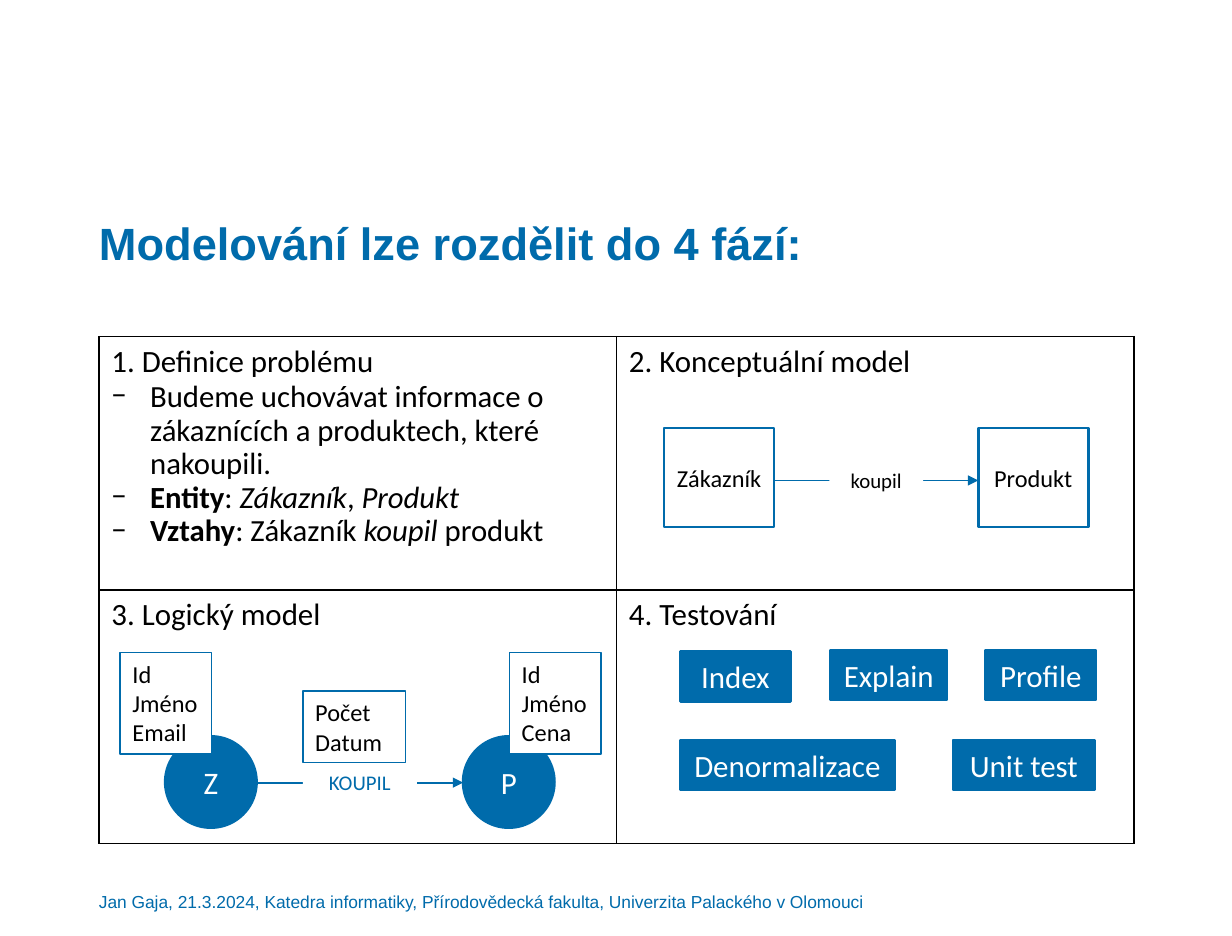
"""Builds a slide that shows the four phases of data modelling in a two by two table."""
from lxml import etree
from pptx import Presentation
from pptx import util as u
from pptx.dml.color import RGBColor
from pptx.enum import shapes, text
from pptx.oxml import ns

hue = RGBColor.from_string
BLUE, BLACK, WHITE = "006BAB", "000000", "FFFFFF"
LEFT, TOP, COL, ROW = 0.79, 2.69, 8.27 / 2, 4.05 / 2
KIND = shapes.MSO_SHAPE
ALIGN = text.PP_ALIGN


def write(frame, lines, size, color, align=ALIGN.LEFT, font="Calibri"):
    for line in lines:
        last = frame.paragraphs[-1]
        para = frame.add_paragraph() if last.runs else last
        para.alignment = align
        for words, style in [(line, "")] if isinstance(line, str) else line:
            run = para.add_run()
            run.text = words
            run.font.name, run.font.size = font, u.Pt(size)
            run.font.bold, run.font.italic = style == "b", style == "i"
            run.font.color.rgb = hue(color)


def box(kind, cell, area, lines, size, color, fill, edge=0, align=ALIGN.CENTER):
    col, row = cell
    x, y, w, h = area
    shape = slide.shapes.add_shape(kind, u.Inches(LEFT + col * COL + x),
                                   u.Inches(TOP + row * ROW + y), u.Inches(w), u.Inches(h))
    shape.shadow.inherit = False
    shape.fill.solid()
    shape.fill.fore_color.rgb = hue(fill)
    if edge:
        shape.line.color.rgb = hue(BLUE)
        shape.line.width = u.Pt(edge)
    else:
        shape.line.fill.background()
    frame = shape.text_frame
    frame.word_wrap = align == ALIGN.LEFT
    if frame.word_wrap:
        frame.margin_right = 0
    frame.vertical_anchor = text.MSO_ANCHOR.TOP if frame.word_wrap else text.MSO_ANCHOR.MIDDLE
    write(frame, lines, size, color, align)


deck = Presentation()
deck.slide_width, deck.slide_height = u.Cm(25), u.Cm(19)
slide = deck.slides.add_slide(deck.slide_layouts[5])

title = slide.shapes.title
title.left, title.top = u.Inches(LEFT), u.Inches(1.77)
title.width, title.height = u.Inches(2 * COL), u.Inches(0.82)
foot = slide.shapes.add_textbox(u.Inches(LEFT), u.Inches(7.05), u.Inches(7.79), u.Inches(0.24))
for item, anchor in (title, text.MSO_ANCHOR.TOP), (foot, text.MSO_ANCHOR.BOTTOM):
    frame = item.text_frame
    frame.margin_left = frame.margin_right = frame.margin_top = frame.margin_bottom = 0
    frame.word_wrap = True
    frame.auto_size = text.MSO_AUTO_SIZE.NONE
    frame.vertical_anchor = anchor
write(title.text_frame, [[("Modelování lze rozdělit do 4 fází:", "b")]], 26, BLUE, font="Arial")
title.text_frame.paragraphs[0].line_spacing = 0.9
write(foot.text_frame, ["Jan Gaja, 21.3.2024, Katedra informatiky, Přírodovědecká fakulta, "
                        "Univerzita Palackého v Olomouci"], 10, BLUE, font="Arial")

table = slide.shapes.add_table(2, 2, u.Inches(LEFT), u.Inches(TOP),
                               u.Inches(2 * COL), u.Inches(2 * ROW)).table
table.first_row = table.horz_banding = False
heads = ["1. Definice problému", "2. Konceptuální model", "3. Logický model", "4. Testování"]
for cell, head in zip(table.iter_cells(), heads):
    write(cell.text_frame, [head], 17.8, BLACK)
    props = cell._tc.get_or_add_tcPr()
    for side in "LRTB":
        line = etree.SubElement(props, ns.qn(f"a:ln{side}"), w=str(u.Pt(1)))
        solid = etree.SubElement(line, ns.qn("a:solidFill"))
        etree.SubElement(solid, ns.qn("a:srgbClr"), val=BLACK)
    cell.fill.background()

frame = table.cell(0, 0).text_frame
points = [
    [("Budeme uchovávat informace o zákaznících a produktech, které nakoupili.", "")],
    [("Entity", "b"), (": ", ""), ("Zákazník", "i"), (", ", ""), ("Produkt", "i")],
    [("Vztahy", "b"), (": Zákazník ", ""), ("koupil", "i"), (" produkt", "")],
]
write(frame, points, 17.7, BLACK)
for para in frame.paragraphs[1:]:
    para.line_spacing = 0.9
    props = para._p.get_or_add_pPr()
    props.set("marL", str(u.Inches(0.31)))
    props.set("indent", str(-u.Inches(0.31)))
    etree.SubElement(props, ns.qn("a:buFont"), typeface="Calibri")
    etree.SubElement(props, ns.qn("a:buChar"), char="−")

for x, name in (0.38, "Zákazník"), (2.89, "Produkt"):
    box(KIND.FLOWCHART_PROCESS, (1, 0), (x, 0.73, 0.88, 0.79), [name], 14, BLACK, WHITE, 1.5)
for x, name, size in (0.53, "Z", 18), (2.91, "P", 17.8):
    box(KIND.FLOWCHART_CONNECTOR, (0, 1), (x, 1.17, 0.73, 0.73), [name], size, WHITE, BLUE, 1.5)

links = [((1, 0), 1.26, 2.89, 1.15, (1.7, 1, 0.75, 0.3), "koupil", BLACK),
         ((0, 1), 1.26, 2.91, 1.54, (1.63, 1.39, 0.91, 0.3), "KOUPIL", BLUE)]
for cell, start, end, y, area, name, color in links:
    x, level = LEFT + cell[0] * COL, u.Inches(TOP + cell[1] * ROW + y)
    arrow = slide.shapes.add_connector(shapes.MSO_CONNECTOR.STRAIGHT, u.Inches(x + start),
                                       level, u.Inches(x + end), level)
    arrow.line.color.rgb = hue(BLUE)
    arrow.line.width = u.Pt(1)
    etree.SubElement(arrow.line._get_or_add_ln(), ns.qn("a:tailEnd"), type="triangle")
    etree.SubElement(arrow._element.spPr, ns.qn("a:effectLst"))
    box(KIND.RECTANGLE, cell, area, [name], 12, color, WHITE)

cards = [((0.17, 0.5, 0.73, 0.81), ["Id", "Jméno", "Email"]),
         ((3.28, 0.5, 0.73, 0.81), ["Id", "Jméno", "Cena"]),
         ((1.63, 0.81, 0.82, 0.57), ["Počet", "Datum"])]
for area, lines in cards:
    box(KIND.RECTANGLE, (0, 1), area, lines, 14, BLACK, WHITE, 1, ALIGN.LEFT)

tests = [(0.51, 0.49, 0.88, "Index"), (1.71, 0.48, 0.93, "Explain"), (2.95, 0.48, 0.88, "Profile"),
         (0.51, 1.2, 1.71, "Denormalizace"), (2.69, 1.2, 1.13, "Unit test")]
for x, y, w, name in tests:
    box(KIND.RECTANGLE, (1, 1), (x, y, w, 0.4), [name], 17.8, WHITE, BLUE, 1.5)

deck.save("out.pptx")
